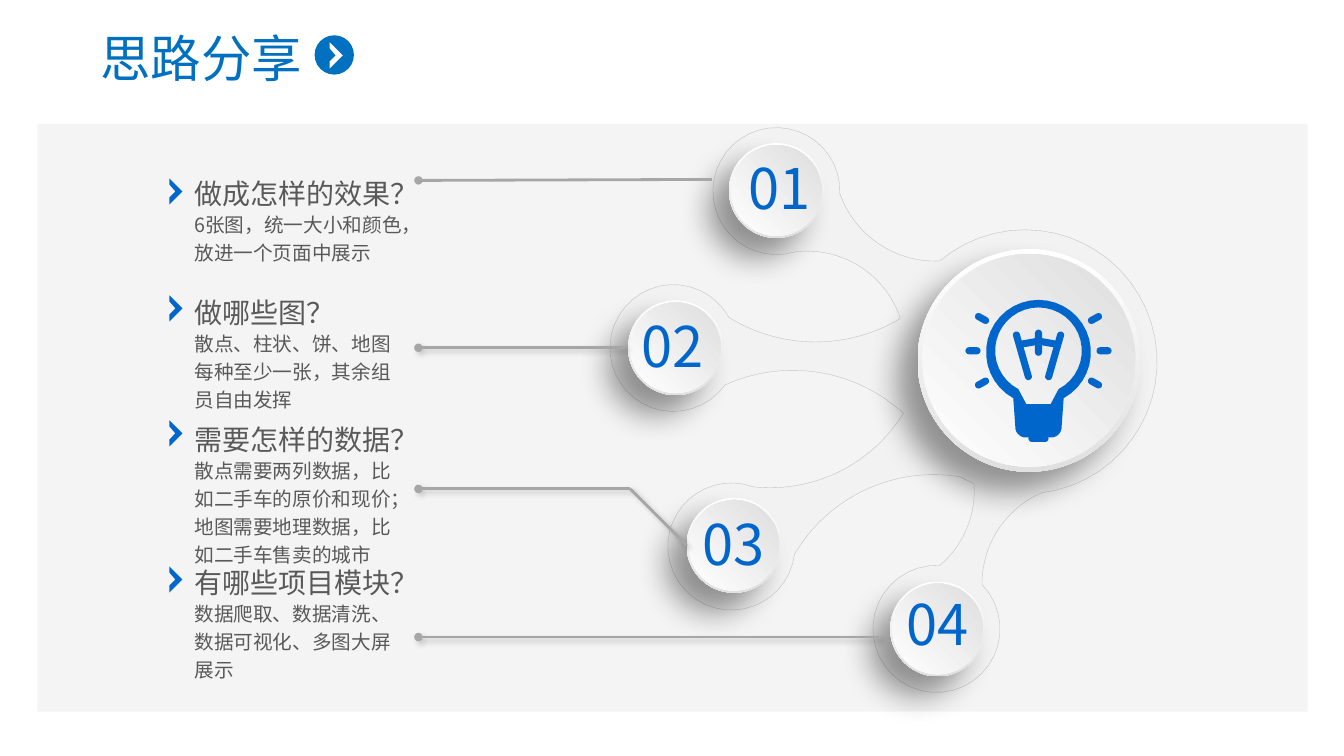
from dataclasses import dataclass
from math import atan, cos, hypot, sin
from typing import Any

from lxml.etree import SubElement as Sub
from pptx import Presentation as Deck
from pptx.dml.color import RGBColor as Rgb
from pptx.enum.shapes import MSO_CONNECTOR as Link, MSO_SHAPE as Kind
from pptx.enum.text import MSO_ANCHOR as Anchor, MSO_AUTO_SIZE as Auto, PP_ALIGN as Align
from pptx.oxml.ns import qn
from pptx.util import Cm, Pt

FONT = "Noto Sans CJK SC"
HUES = {"title": "0070C0", "blue": "0066CC", "text": "595959", "panel": "F2F2F2",
        "edge": "BFBFBF", "line": "A6A6A6", "white": "FFFFFF", "rim": "E0E0E0",
        "face": "DDDEDD", "black": "000000"}
AXIS = 10.3  # middle of the bulb
CHEVRON = ((0, 0), (.13, .13), (0, .26), (0, .19), (.06, .13), (0, .06))


@dataclass
class Item:
    head: str
    body: tuple[str, ...]
    top: float
    mark: float


@dataclass
class Node:
    left: float
    top: float
    label: tuple[float, float]


@dataclass
class Wire:
    start: tuple[float, float]
    end: tuple[float, float]
    dot: bool = True
    shade: bool = True


@dataclass
class Shade:
    alpha: int
    blur: float
    dist: float
    angle: int


ITEMS = (
    Item("做成怎样的效果？", ("6张图，统一大小和颜色，放进一个页面中展示",), 1.7, 1.77),
    Item("做哪些图？", ("散点、柱状、饼、地图每种至少一张，其余组员自由发挥",), 2.88, 2.93),
    Item("需要怎样的数据？", ("散点需要两列数据，比如二手车的原价和现价；",
                      "地图需要地理数据，比如二手车售卖的城市"), 4.14, 4.17),
    Item("有哪些项目模块？", ("数据爬取、数据清洗、数据可视化、多图大屏展示",), 5.56, 5.62),
)
NODES = (Node(7.23, 1.42, (7.3, 1.47)), Node(6.23, 2.98, (6.24, 3.04)),
         Node(6.81, 4.94, (6.85, 5.01)), Node(8.83, 5.77, (8.87, 5.8)))
WIRES = (Wire((7.06, 1.78), (4.15, 1.79), shade=False), Wire((6.2, 3.45), (4.15, 3.45)),
         Wire((8.72, 6.32), (4.15, 6.32)), Wire((6.25, 4.85), (4.15, 4.85)),
         Wire((6.81, 5.41), (6.25, 4.85), dot=False))
DISC, WIRE = Shade(40, 22, 20, 135), Shade(20, 4, 3, 45)

# Outlines: each corner has x, y and the bulge of the arc that leaves it
WEB = ((8.33, 1.92, -.33), (9.32, 2.59, 1.34), (10.33, 4.89, -.3), (9.74, 5.8, 5.28),
       (9.32, 5.61, -.24), (9.66, 4.8, 0), (9.52, 4.73, -.31), (7.88, 5.5, 2.86),
       (7.47, 4.83, -.29), (8.96, 4.1, -.3), (7.19, 3.82, 3.46), (7.23, 3.15, -.28),
       (8.93, 3.16, -.36), (7.88, 2.5, 3.11))
BULB = ((10.05, 3.95, 3.9), (10.55, 3.95, 0), (10.53, 4.23, .41), (10.43, 4.34, 0),
        (10.17, 4.34, .41), (10.07, 4.23, 0))
GLASS = ((10.1, 3.86, 4.05), (10.5, 3.86, 0), (10.42, 4.01, 0), (10.18, 4.01, 0))
# Bars of the bulb: x offset from the axis, y, length, turn; drawn on both sides
BARS = ((.56, 3.8, .15, 29), (.56, 3.16, .15, -29), (.65, 3.48, .15, 0),
        (.16, 3.53, .5, -74), (.09, 3.4, .2, 10))


def size(*vals: float) -> list[Cm]:
    """Turn slide units of 2.54 cm into lengths."""
    return [Cm(val * 2.54) for val in vals]


def trace(nodes: tuple, steps: int = 32) -> list[tuple[float, float]]:
    """Turn corners joined by arcs into points."""
    out = []
    for (x, y, bulge), (u, v, _) in zip(nodes, nodes[1:] + nodes[:1]):
        out.append((x, y))
        if not bulge:
            continue
        half = hypot(u - x, v - y) / 2
        shift = (bulge - (1 + bulge ** 2) / (2 * bulge)) / 2
        mid_x, mid_y = (x + u) / 2 + (v - y) * shift, (y + v) / 2 - (u - x) * shift
        for n in range(1, steps if half else 1):
            turn = 4 * atan(bulge) * n / steps
            out.append((mid_x + (x - mid_x) * cos(turn) - (y - mid_y) * sin(turn),
                        mid_y + (x - mid_x) * sin(turn) + (y - mid_y) * cos(turn)))
    return out


def cast(item: Any, shade: Shade | None = None) -> None:
    """Replace the theme effect with the given shadow or with none."""
    box = Sub(item._element.spPr, qn("a:effectLst"))
    if shade:
        drop = Sub(box, qn("a:outerShdw"), blurRad=str(Pt(shade.blur)), dist=str(Pt(shade.dist)),
                   dir=str(shade.angle * 60000), algn="ctr", rotWithShape="0")
        tint = Sub(drop, qn("a:srgbClr"), val=HUES["black"])
        Sub(tint, qn("a:alpha"), val=str(shade.alpha * 1000))


def paint(item: Any, hue: str) -> None:
    item.fill.solid()
    item.fill.fore_color.rgb = Rgb.from_string(HUES[hue])
    item.line.fill.background()
    cast(item)


def draw(shapes: Any, hue: str, *loops: list[tuple[float, float]]) -> Any:
    pen = None
    for loop in loops:
        pts = [tuple(size(*pt)) for pt in loop]
        if pen is None:
            pen = shapes.build_freeform(*pts[0], scale=1.0)
        else:
            pen.move_to(*pts[0])
        pen.add_line_segments(pts[1:], close=True)
    item = pen.convert_to_shape()
    paint(item, hue)
    return item


def arrow(shapes: Any, left: float, top: float, hue: str) -> None:
    draw(shapes, hue, [(left + x, top + y) for x, y in CHEVRON])


def bar(shapes: Any, x: float, y: float, span: float, turn: float) -> None:
    item = shapes.add_shape(Kind.ROUNDED_RECTANGLE, *size(x - span / 2, y - .035, span, .07))
    item.adjustments[0] = .5
    item.rotation = turn
    paint(item, "blue")


def disc(shapes: Any, left: float, top: float, width: float, inset: float) -> None:
    for gap, hue, turn, shade in ((0, "rim", 270, DISC), (inset, "face", 45, None)):
        side = width - 2 * gap
        item = shapes.add_shape(Kind.OVAL, *size(left + gap, top + gap, side, side))
        item.fill.gradient()
        item.fill.gradient_angle = turn
        for stop, tone in zip(item.fill.gradient_stops, ("white", hue)):
            stop.color.rgb = Rgb.from_string(HUES[tone])
        item.line.fill.background()
        cast(item, shade)


def style(frame: Any, pts: int, hue: str, align: Align = Align.LEFT, lead: int = 0) -> None:
    for para in frame.paragraphs:
        para.alignment = align
        if lead:
            para.line_spacing = Pt(lead)
        for run in para.runs:
            run.font.size, run.font.name = Pt(pts), FONT
            run.font.color.rgb = Rgb.from_string(HUES[hue])
            Sub(run._r.get_or_add_rPr(), qn("a:ea"), typeface=FONT)


def write(shapes: Any, box: tuple[float, ...], text: str, wrap: bool = True) -> Any:
    frame = shapes.add_textbox(*size(*box)).text_frame
    frame.word_wrap = wrap
    frame.text = text
    return frame


def join(shapes: Any, wire: Wire) -> None:
    item = shapes.add_connector(Link.STRAIGHT, *size(*wire.start, *wire.end))
    item.line.color.rgb = Rgb.from_string(HUES["line"])
    item.line.width = Pt(2)
    if wire.dot:
        Sub(item.line._get_or_add_ln(), qn("a:tailEnd"), type="oval")
    cast(item, WIRE if wire.shade else None)


def main() -> None:
    deck = Deck()
    deck.slide_width, deck.slide_height = size(13.33, 7.5)
    slide = deck.slides.add_slide(deck.slide_layouts[5])
    shapes = slide.shapes

    # Title with its round arrow
    title = shapes.title
    title.left, title.top, title.width, title.height = size(.6, .21, 2.79, .71)
    title.text_frame.text = "思路分享"
    title.text_frame.auto_size = Auto.NONE
    title.text_frame.vertical_anchor = Anchor.MIDDLE
    style(title.text_frame, 36, "title", Align.CENTER)
    paint(shapes.add_shape(Kind.OVAL, *size(3.12, .35, .39, .39)), "title")
    arrow(shapes, 3.27, .42, "white")

    # Panel and web
    panel = shapes.add_shape(Kind.RECTANGLE, *size(.37, 1.23, 12.6, 5.83))
    paint(panel, "panel")
    Sub(next(panel._element.spPr.iter(qn("a:srgbClr"))), qn("a:alpha"), val="78000")
    web = draw(shapes, "panel", trace(WEB))
    web.line.color.rgb = Rgb.from_string(HUES["edge"])
    web.line.width = Pt(.25)

    # Discs and numbers
    disc(shapes, 9.1, 2.47, 2.21, .05)
    for num, node in enumerate(NODES, 1):
        disc(shapes, node.left, node.top, .94, .02)
        style(write(shapes, (*node.label, .86, .77), f"{num:02}", False), 40, "blue", Align.CENTER)

    # Light bulb
    draw(shapes, "blue", trace(BULB), trace(GLASS)[::-1])
    bar(shapes, AXIS, 4.35, .2, 0)
    bar(shapes, AXIS, 3.4, .26, 90)
    for gap, y, span, turn in BARS:
        for side in (1, -1):
            bar(shapes, AXIS + side * gap, y, span, side * turn)

    # Wires
    for wire in WIRES:
        join(shapes, wire)

    # Items
    for item in ITEMS:
        body = write(shapes, (1.83, item.top + .32, 2.33, .64), "\n".join(item.body))
        style(body, 14, "text", lead=20)
        arrow(shapes, 1.68, item.mark, "blue")
        style(write(shapes, (1.83, item.top, 2.71, .44), item.head), 20, "text")

    deck.save("out.pptx")


if __name__ == "__main__":
    main()
